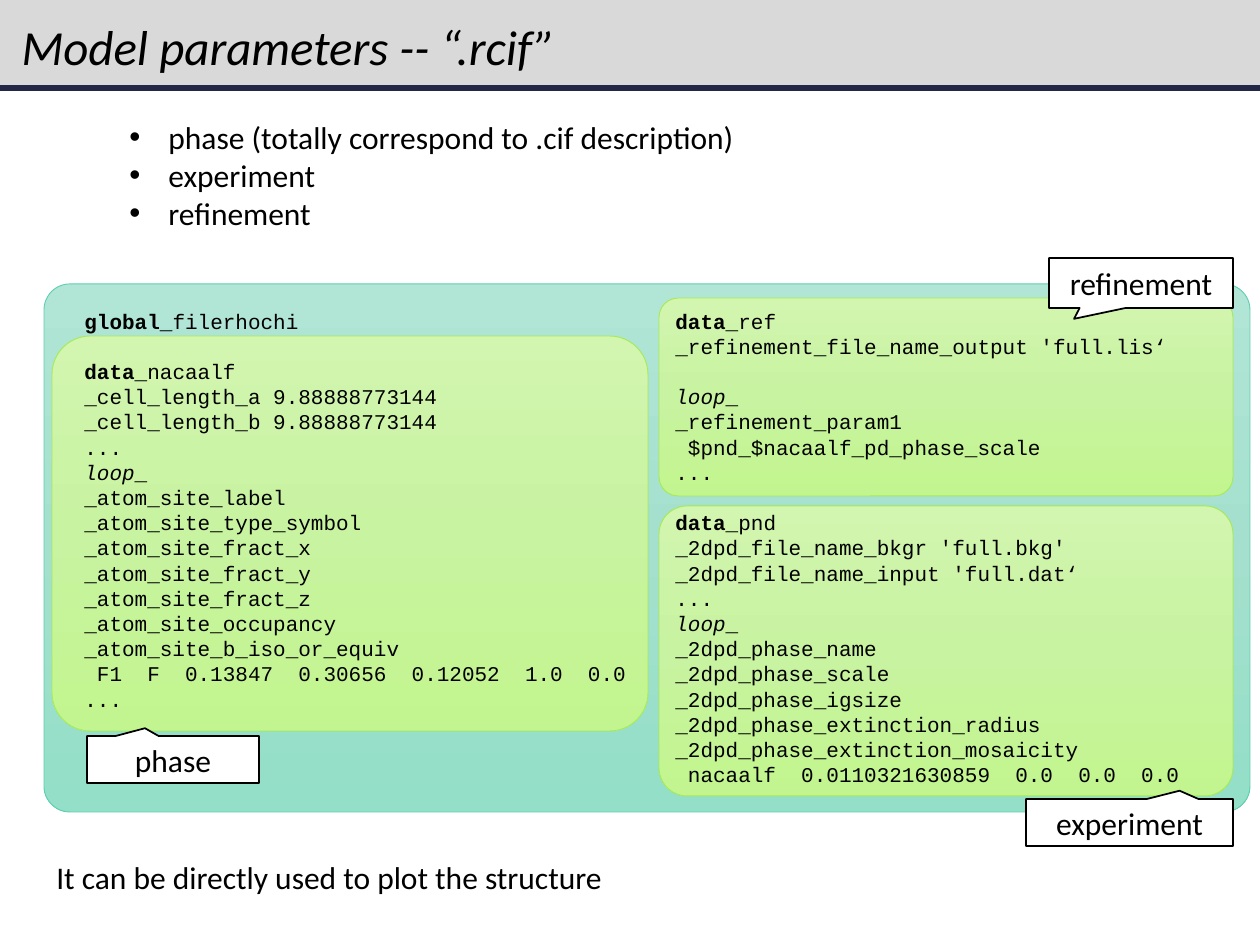
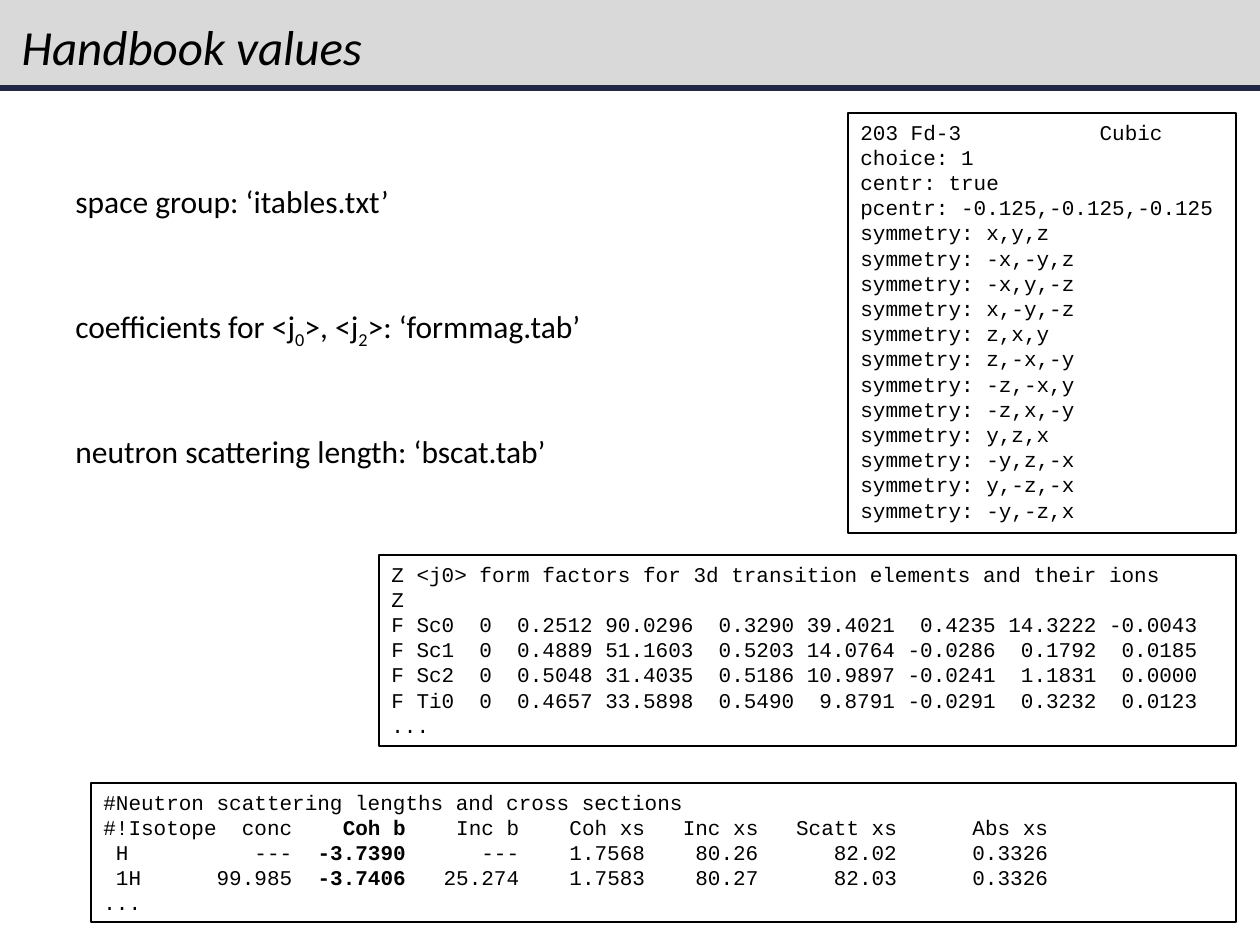
from copy import deepcopy

from lxml.etree import SubElement
from pptx import Presentation
from pptx.dml.color import RGBColor
from pptx.enum.shapes import MSO_SHAPE as Shape
from pptx.enum.text import MSO_ANCHOR as Anchor, MSO_AUTO_SIZE as AutoSize, PP_ALIGN as Align
from pptx.oxml.ns import qn
from pptx.util import Emu, Pt

PIXEL = 914400 / 126
BLACK, WHITE = "000000", "FFFFFF"
BAND_GREY, BAND_NAVY = "D9D9D9", "212745"
TEAL = ("B1E5D5", "A4E0CD", "93DFC7")
TEAL_LINE = "5DCEAF"
LIME = ("D2F5AF", "C8F3A0", "C2F58F")
LIME_LINE = "A7EA52"
SANS, MONO = "Calibri", "Courier New"
CODE_SIZE, BODY_SIZE, TITLE_SIZE = 12, 18, 28
CODE_PITCH = 14.4

PHASE_CODE = [
    [("global", "bold"), ("_filerhochi", "")],
    "",
    [("data", "bold"), ("_nacaalf", "")],
    "_cell_length_a 9.88888773144",
    "_cell_length_b 9.88888773144",
    "...",
    [("loop", "italic"), ("_", "")],
    "_atom_site_label",
    "_atom_site_type_symbol",
    "_atom_site_fract_x",
    "_atom_site_fract_y",
    "_atom_site_fract_z",
    "_atom_site_occupancy",
    "_atom_site_b_iso_or_equiv",
    " F1  F  0.13847  0.30656  0.12052  1.0  0.0",
    "...",
]
REFINEMENT_AND_EXPERIMENT_CODE = [
    [("data", "bold"), ("_ref", "")],
    "_refinement_file_name_output 'full.lis‘",
    "",
    [("loop", "italic"), ("_", "")],
    "_refinement_param1",
    " $pnd_$nacaalf_pd_phase_scale",
    "...",
    "",
    [("data", "bold"), ("_pnd", "")],
    "_2dpd_file_name_bkgr 'full.bkg'",
    "_2dpd_file_name_input 'full.dat‘",
    "...",
    [("loop", "italic"), ("_", "")],
    "_2dpd_phase_name",
    "_2dpd_phase_scale",
    "_2dpd_phase_igsize",
    "_2dpd_phase_extinction_radius",
    "_2dpd_phase_extinction_mosaicity",
    " nacaalf  0.0110321630859  0.0  0.0  0.0",
]
SYMMETRIES = (
    "x,y,z", "-x,-y,z", "-x,y,-z", "x,-y,-z", "z,x,y", "z,-x,-y",
    "-z,-x,y", "-z,x,-y", "y,z,x", "-y,z,-x", "y,-z,-x", "-y,-z,x",
)
SPACE_GROUP = [
    "203 Fd-3           Cubic",
    "choice: 1",
    "centr: true",
    "pcentr: -0.125,-0.125,-0.125",
    *(f"symmetry: {symmetry}" for symmetry in SYMMETRIES),
]
FORM_FACTORS = [
    "Z <j0> form factors for 3d transition elements and their ions",
    "Z",
    "F Sc0  0  0.2512 90.0296  0.3290 39.4021  0.4235 14.3222 -0.0043",
    "F Sc1  0  0.4889 51.1603  0.5203 14.0764 -0.0286  0.1792  0.0185",
    "F Sc2  0  0.5048 31.4035  0.5186 10.9897 -0.0241  1.1831  0.0000",
    "F Ti0  0  0.4657 33.5898  0.5490  9.8791 -0.0291  0.3232  0.0123",
    "...",
]
SCATTERING = [
    "#Neutron scattering lengths and cross sections",
    [("#!Isotope  conc    ", ""), ("Coh b    ", "bold"),
     ("Inc b    Coh xs   Inc xs   Scatt xs      Abs xs", "")],
    [(" H          ---  ", ""), ("-3.7390", "bold"),
     ("      ---    1.7568    80.26      82.02      0.3326", "")],
    [(" 1H      99.985  ", ""), ("-3.7406   ", "bold"),
     ("25.274    1.7583    80.27      82.03      0.3326", "")],
    "...",
]
COEFFICIENTS = [
    ("coefficients for <j", ""), ("0", "sub"), (">, <j", ""), ("2", "sub"),
    (">: ‘formmag.tab’", ""),
]


def color(value):
    """Turn a hex string into a colour."""
    return RGBColor.from_string(value)


def place(*pixels):
    """Turn pixel lengths into EMU."""
    return [Emu(round(pixel * PIXEL)) for pixel in pixels]


def set_font(font, name, size):
    """Give a font its face, size and black colour."""
    font.name, font.size = name, Pt(size)
    font.color.rgb = color(BLACK)


def write_lines(frame, lines, name, size, align=Align.LEFT):
    """Write one paragraph per line; an empty line becomes space before the next."""
    para, gap = None, 0
    for line in lines:
        if not line:
            gap += CODE_PITCH
            continue
        para = frame.paragraphs[0] if para is None else frame.add_paragraph()
        para.alignment = align
        set_font(para.font, name, size)
        if gap:
            para.space_before, gap = Pt(gap), 0
        for text, style in [(line, "")] if isinstance(line, str) else line:
            span = para.add_run()
            span.text = text
            if style == "bold":
                span.font.bold = True
            elif style == "italic":
                span.font.italic = True
            elif style == "sub":
                span.font._element.set("baseline", "-25000")


def add_box(page, kind, area, fill, line, width, adjustments=()):
    """Add a preset shape with a plain or three-stop gradient fill."""
    box = page.shapes.add_shape(kind, *place(*area))
    box.shadow.inherit = False
    for index, value in enumerate(adjustments):
        box.adjustments[index] = value
    if isinstance(fill, str):
        box.fill.solid()
        box.fill.fore_color.rgb = color(fill)
    else:
        box.fill.gradient()
        box.fill.gradient_angle = 270
        stops = box.element.spPr.find(qn("a:gradFill")).find(qn("a:gsLst"))
        stops.insert(1, deepcopy(stops[0]))
        for index, stop in enumerate(box.fill.gradient_stops):
            stop.position = index / 2
            stop.color.rgb = color(fill[index])
    box.line.color.rgb = color(line)
    box.line.width = Pt(width)
    return box


def add_panel(page, area, radius, fill=LIME, line=LIME_LINE):
    """Add a rounded gradient panel."""
    add_box(page, Shape.ROUNDED_RECTANGLE, area, fill, line, 0.5, [radius])


def add_callout(page, text, area, tip):
    """Add a white label with a pointer."""
    box = add_box(page, Shape.RECTANGULAR_CALLOUT, area, WHITE, BLACK, 1, tip)
    box.text_frame.vertical_anchor = Anchor.MIDDLE
    write_lines(box.text_frame, [text], SANS, BODY_SIZE, Align.CENTER)


def add_listing(page, lines, area):
    """Add a framed file excerpt."""
    box = add_box(page, Shape.RECTANGLE, area, WHITE, BLACK, 1)
    frame = box.text_frame
    frame.word_wrap, frame.vertical_anchor = True, Anchor.TOP
    write_lines(frame, lines, MONO, CODE_SIZE)


def add_text(page, lines, area, name=SANS, size=BODY_SIZE, wrap=False):
    """Add a text box and return it."""
    box = page.shapes.add_textbox(*place(*area))
    box.text_frame.word_wrap = wrap
    box.text_frame.auto_size = AutoSize.SHAPE_TO_FIT_TEXT
    write_lines(box.text_frame, lines, name, size)
    return box


def add_bullets(page, lines, area):
    """Add a bulleted text box."""
    box = add_text(page, lines, area)
    indent = place(39)[0]
    for para in box.text_frame.paragraphs:
        properties = para._p.get_or_add_pPr()
        properties.set("marL", str(indent))
        properties.set("indent", str(-indent))
        bullet_font = SubElement(properties, qn("a:buFont"))
        bullet_font.set("typeface", "Arial")
        SubElement(properties, qn("a:buChar")).set("char", "•")
        properties.append(properties.find(qn("a:defRPr")))


def add_page(deck, title):
    """Add a title-only page with an italic title."""
    page = deck.slides.add_slide(deck.slide_layouts[5])
    holder = page.shapes.title
    holder.left, holder.top, holder.width, holder.height = place(9, 0, 1181, 100)
    frame = holder.text_frame
    frame.auto_size, frame.vertical_anchor = AutoSize.NONE, Anchor.MIDDLE
    write_lines(frame, [title], SANS, TITLE_SIZE)
    frame.paragraphs[0].line_spacing = 0.9
    frame.paragraphs[0].font.italic = True
    return page


def move_band_to_layout(page):
    """Draw the title band and hand it to the shared layout."""
    band = add_box(page, Shape.RECTANGLE, (-26, -13, 1315, 101), BAND_GREY, BAND_NAVY, 3)
    band.element.nvSpPr.cNvPr.set("id", "99")
    page.slide_layout.shapes.element.insert(2, band.element)


def build_parameters(deck):
    """Build the page on model parameters."""
    page = add_page(deck, "Model parameters -- “.rcif”")
    move_band_to_layout(page)
    add_panel(page, (44, 284, 1206, 528), 0.049, TEAL, TEAL_LINE)
    for area in ((659, 298, 574, 198), (659, 506, 574, 290), (52, 336, 596, 395)):
        add_panel(page, area, 0.097)
    add_text(page, PHASE_CODE, (72, 302, 580, 416), MONO, CODE_SIZE, True)
    add_text(page, REFINEMENT_AND_EXPERIMENT_CODE, (663, 302, 580, 492), MONO, CODE_SIZE, True)
    add_callout(page, "phase", (87, 736, 172, 47), (-0.163, -0.666))
    add_callout(page, "refinement", (1049, 258, 184, 50), (-0.364, 0.718))
    add_callout(page, "experiment", (1026, 799, 207, 47), (0.242, -0.677))
    add_text(page, ["It can be directly used to plot the structure"], (44, 852, 578, 51))
    add_bullets(
        page,
        ["phase (totally correspond to .cif description)", "experiment", "refinement"],
        (117, 112, 638, 127),
    )


def build_handbook(deck):
    """Build the page on handbook values."""
    page = add_page(deck, "Handbook values")
    sources = (
        ("space group: ‘itables.txt’", 352),
        (COEFFICIENTS, 539),
        ("neutron scattering length: ‘bscat.tab’", 503),
    )
    for index, (line, width) in enumerate(sources):
        add_text(page, [line], (63, 176 + 125 * index, width, 51))
    add_listing(page, SPACE_GROUP, (848, 113, 388, 420))
    add_listing(page, FORM_FACTORS, (379, 555, 857, 191))
    add_listing(page, SCATTERING, (91, 783, 1145, 139))


def main():
    """Build and save the deck."""
    deck = Presentation()
    deck.slide_width, deck.slide_height = place(1260, 945)
    build_parameters(deck)
    build_handbook(deck)
    deck.save("out.pptx")


main()
